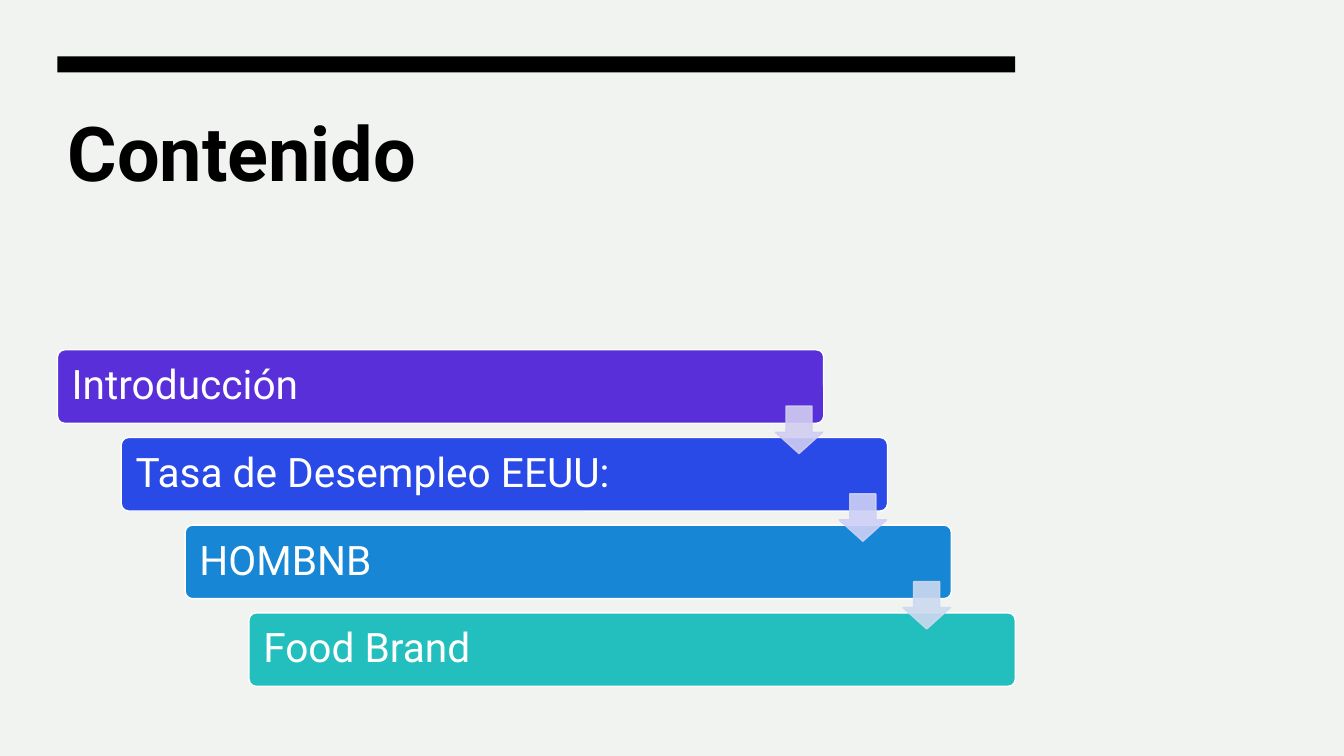
from dataclasses import dataclass

from lxml.etree import SubElement
from pptx import Presentation
from pptx.dml.color import RGBColor
from pptx.dml.fill import FillFormat
from pptx.enum.shapes import MSO_SHAPE
from pptx.enum.text import MSO_ANCHOR, PP_ALIGN
from pptx.oxml.ns import qn
from pptx.shapes.autoshape import Shape
from pptx.slide import Slide
from pptx.text.text import TextFrame
from pptx.util import Inches, Pt


@dataclass
class Step:
    text: str
    color: str
    arrow_color: str | None = None  # the last step has no arrow


STEPS = [
    Step("Introducción", "592FD9", "D1CDF1"),
    Step("Tasa de Desempleo EEUU:", "294AE7", "CDD0F6"),
    Step("HOMBNB", "1787D5", "CCD9EF"),
    Step("Food Brand", "22BFBE"),
]

# Shared measures, in inches
LEFT, CONTENT_WIDTH = 0.57, 9.5
STEP_TOP, STEP_WIDTH, STEP_HEIGHT = 3.47, 7.6, 0.73
STEP_RIGHT, STEP_DOWN = (CONTENT_WIDTH - STEP_WIDTH) / 3, 0.87
ARROW_SIZE, ARROW_RIGHT, ARROW_DOWN = 0.47, 7.12, 0.56


def paint(fill: FillFormat, color: str, opacity: int = 100) -> None:
    fill.solid()
    fill.fore_color.rgb = RGBColor.from_string(color)
    if opacity < 100:
        color_element = fill._xPr.find(qn("a:solidFill"))[0]
        SubElement(color_element, qn("a:alpha"), val=str(opacity * 1000))


def write_text(frame: TextFrame, text: str, *, size: float, color: str,
               bold: bool = False, spacing: float = 1.0,
               anchor: MSO_ANCHOR = MSO_ANCHOR.TOP,
               side_inset: float = 0.1, top_inset: float = 0.05) -> None:
    frame.word_wrap = True
    frame.vertical_anchor = anchor
    frame.margin_left = frame.margin_right = Inches(side_inset)
    frame.margin_top = frame.margin_bottom = Inches(top_inset)
    para = frame.paragraphs[0]
    para.alignment = PP_ALIGN.LEFT
    para.line_spacing = spacing
    span = para.add_run()
    span.text = text
    span.font.name = "Roboto"
    span.font.size = Pt(size)
    span.font.bold = bold
    span.font.color.rgb = RGBColor.from_string(color)


def add_box(page: Slide, kind: MSO_SHAPE, left: float, top: float,
            width: float, height: float, color: str, *,
            line: str | None = None, opacity: int = 100,
            adjustments: tuple[float, ...] = ()) -> Shape:
    box = page.shapes.add_shape(
        kind, Inches(left), Inches(top), Inches(width), Inches(height))
    box.shadow.inherit = False
    paint(box.fill, color, opacity)
    if line:
        box.line.width = Pt(1)
        paint(box.line.fill, line, opacity)
    else:
        box.line.fill.background()
    for index, value in enumerate(adjustments):
        box.adjustments[index] = value
    return box


def add_step(page: Slide, index: int, step: Step) -> None:
    box = add_box(page, MSO_SHAPE.ROUNDED_RECTANGLE,
                  LEFT + index * STEP_RIGHT, STEP_TOP + index * STEP_DOWN,
                  STEP_WIDTH, STEP_HEIGHT, step.color,
                  line="FFFFFF", adjustments=(0.1,))
    write_text(box.text_frame, step.text, size=29, color="FFFFFF", spacing=0.9,
               anchor=MSO_ANCHOR.MIDDLE, side_inset=0.12, top_inset=0.12)


def add_arrow(page: Slide, index: int, color: str) -> None:
    add_box(page, MSO_SHAPE.DOWN_ARROW,
            LEFT + ARROW_RIGHT + index * STEP_RIGHT,
            STEP_TOP + ARROW_DOWN + index * STEP_DOWN,
            ARROW_SIZE, ARROW_SIZE, color,
            line=color, opacity=90, adjustments=(0.55, 0.45))


def main() -> None:
    deck = Presentation()
    deck.slide_width, deck.slide_height = Inches(13.33), Inches(7.5)
    page = deck.slides.add_slide(deck.slide_layouts.get_by_name("Title Only"))
    paint(page.background.fill, "F1F3F0")

    # Title and the bar above it
    title = page.shapes.title
    title.left, title.top = Inches(LEFT), Inches(1.07)
    title.width, title.height = Inches(CONTENT_WIDTH), Inches(2.12)
    write_text(title.text_frame, "Contenido", size=54, color="000000",
               bold=True, spacing=0.95)
    add_box(page, MSO_SHAPE.RECTANGLE, LEFT, 0.56, CONTENT_WIDTH, 0.16, "000000")

    # Staircase of steps, with the arrows in front
    for index, step in enumerate(STEPS):
        add_step(page, index, step)
    for index, step in enumerate(STEPS):
        if step.arrow_color:
            add_arrow(page, index, step.arrow_color)

    deck.save("out.pptx")


if __name__ == "__main__":
    main()
